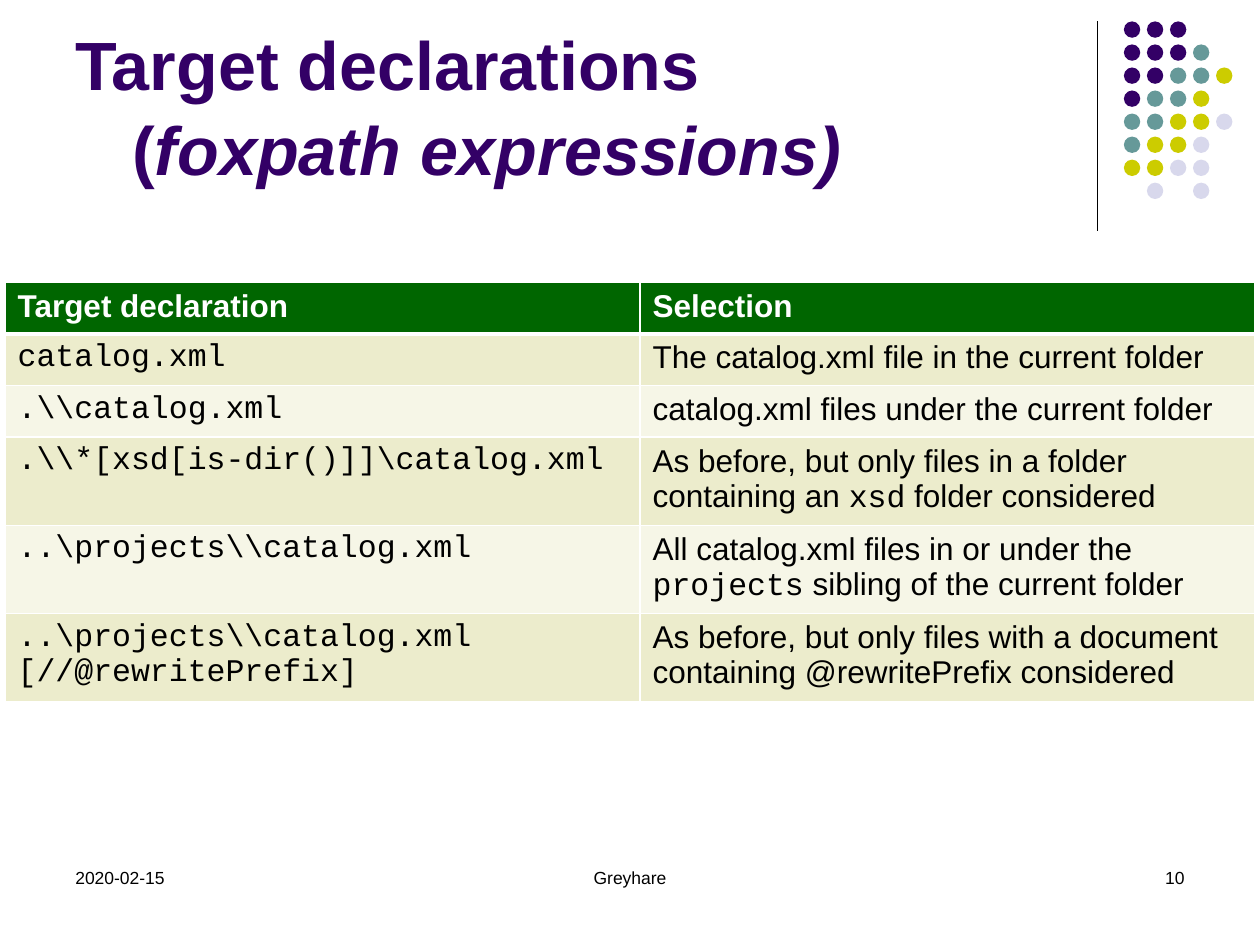
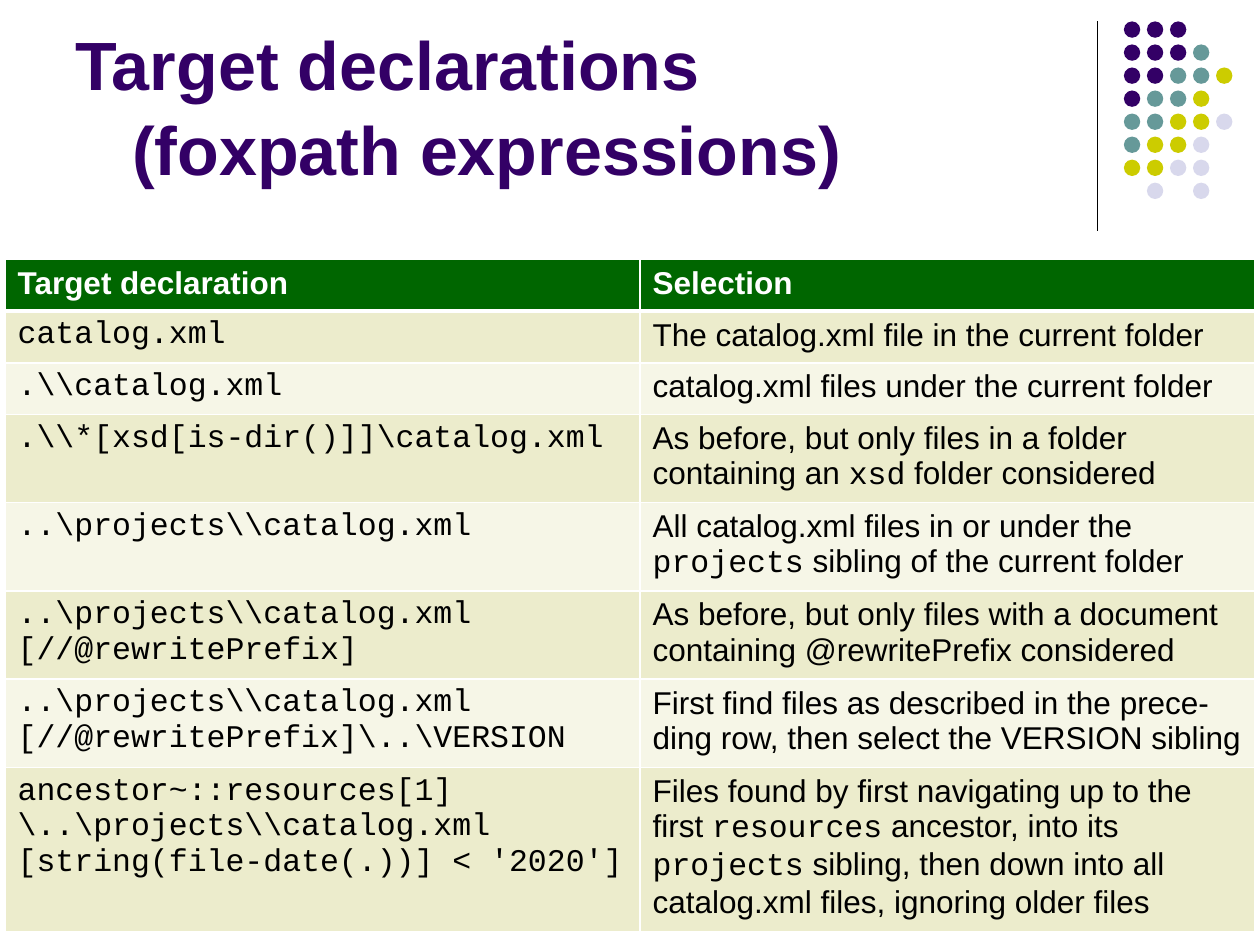
import pptx
import pptx.dml.color
import pptx.enum.shapes
import pptx.enum.text
import pptx.oxml.ns
import pptx.util
from lxml import etree

Inches = pptx.util.Inches
Pt = pptx.util.Pt
ALIGN = pptx.enum.text.PP_ALIGN

SANS, MONO = "Arial", "Courier New"
WHITE, BLACK, GREEN = "FFFFFF", "000000", "006600"
PURPLE, TEAL, OLIVE, LILAC = "330066", "669999", "CCCC00", "D8D8EC"
STRIPES = ("ECECCC", "F6F6E7")

DOT_COLORS = {"P": PURPLE, "T": TEAL, "O": OLIVE, "L": LILAC}
DOT_ROWS = ("PPP", "PPPT", "PPTTO", "PTTO", "TTOOL", "TOOL", "OOLL", " L L")
DOT_PITCH = 1.28 / 7

COLUMN_WIDTHS = (5.04, 4.88)
HEADER_HEIGHT = 0.41
BASIC_TARGETS = [
    (0.41, ["catalog.xml"], "The catalog.xml file in the current folder"),
    (0.41, [r".\\catalog.xml"], "catalog.xml files under the current folder"),
    (0.68, [r".\\*[xsd[is-dir()]]\catalog.xml"],
     "As before, but only files in a folder containing an `xsd` folder considered"),
    (0.68, [r"..\projects\\catalog.xml"],
     "All catalog.xml files in or under the `projects` sibling of the current folder"),
    (0.67, [r"..\projects\\catalog.xml", "[//@rewritePrefix]"],
     "As before, but only files with a document containing @rewritePrefix considered"),
]
NAVIGATION_TARGETS = [
    (0.67, [r"..\projects\\catalog.xml", r"[//@rewritePrefix]\..\VERSION"],
     "First find files as described in the prece- ding row, then select the VERSION sibling"),
    (1.26, ["ancestor~::resources[1]", r"\..\projects\\catalog.xml",
            "[string(file-date(.))] < '2020']"],
     "Files found by first navigating up to the first `resources` ancestor, into its "
     "`projects` sibling, then down into all catalog.xml files, ignoring older files"),
]


def rgb(value):
    return pptx.dml.color.RGBColor.from_string(value)


def write(frame, *lines, font=SANS, size=18, color=BLACK, bold=False,
          align=ALIGN.LEFT, marked_font=None, marked_italic=False):
    """Fill a frame with lines; stretches between backticks take the marked format."""
    frame.word_wrap = True
    for number, line in enumerate(lines):
        paragraph = frame.add_paragraph() if number else frame.paragraphs[0]
        paragraph.alignment = align
        for position, stretch in enumerate(line.split("`")):
            if not stretch:
                continue
            marked = position % 2 == 1
            run = paragraph.add_run()
            run.text = stretch
            run.font.name = marked_font if marked and marked_font else font
            run.font.size = Pt(size)
            run.font.bold = bold
            run.font.italic = marked and marked_italic
            run.font.color.rgb = rgb(color)


def add_textbox(slide, left, top, width, height):
    return slide.shapes.add_textbox(
        Inches(left), Inches(top), Inches(width), Inches(height)).text_frame


def add_divider(slide):
    divider = slide.shapes.add_connector(
        pptx.enum.shapes.MSO_CONNECTOR.STRAIGHT,
        Inches(8.71), Inches(0.17), Inches(8.71), Inches(1.83))
    divider.line.color.rgb = rgb(BLACK)
    divider.line.width = Pt(0.75)
    etree.SubElement(divider._element.spPr, pptx.oxml.ns.qn("a:effectLst"))


def add_dots(slide):
    dots = slide.shapes.add_group_shape()
    for row, pattern in enumerate(DOT_ROWS):
        for column, key in enumerate(pattern):
            if key == " ":
                continue
            dot = dots.shapes.add_shape(
                pptx.enum.shapes.MSO_SHAPE.OVAL,
                Inches(8.92 + column * DOT_PITCH), Inches(0.17 + row * DOT_PITCH),
                Inches(0.13), Inches(0.13))
            dot.shadow.inherit = False
            dot.fill.solid()
            dot.fill.fore_color.rgb = rgb(DOT_COLORS[key])
            dot.line.fill.background()


def add_title(slide, *lines):
    title = add_textbox(slide, 0.5, 0.13, 8.25, 1.42)
    title.vertical_anchor = pptx.enum.text.MSO_ANCHOR.BOTTOM
    write(title, *lines, size=39, color=PURPLE, bold=True, marked_italic=True)
    subtitle = title.paragraphs[1]
    subtitle.space_before = Pt(2)
    subtitle._p.get_or_add_pPr().set("marL", str(Inches(0.45)))


def add_footer(slide, date, project, number):
    for left, width, text, align in (
            (0.5, 2.33, date, ALIGN.LEFT),
            (3.19, 3.62, project, ALIGN.CENTER),
            (7.17, 2.33, number, ALIGN.RIGHT)):
        write(add_textbox(slide, left, 6.83, width, 0.5), text, size=10, align=align)


def style_cell(cell, fill, top=1, bottom=1):
    properties = cell._tc.get_or_add_tcPr()
    for side, width in (("L", 1), ("R", 1), ("T", top), ("B", bottom)):
        border = etree.SubElement(
            properties, pptx.oxml.ns.qn("a:ln" + side), w=str(Pt(width)))
        paint = etree.SubElement(border, pptx.oxml.ns.qn("a:solidFill"))
        etree.SubElement(paint, pptx.oxml.ns.qn("a:srgbClr"), val=WHITE)
    cell.fill.solid()
    cell.fill.fore_color.rgb = rgb(fill)


def add_target_table(slide, top, targets):
    heights = [HEADER_HEIGHT] + [height for height, _, _ in targets]
    table = slide.shapes.add_table(
        len(heights), len(COLUMN_WIDTHS), Inches(0.04), Inches(top),
        Inches(sum(COLUMN_WIDTHS)), Inches(sum(heights))).table
    for column, width in zip(table.columns, COLUMN_WIDTHS):
        column.width = Inches(width)
    for row, height in zip(table.rows, heights):
        row.height = Inches(height)
    for column, heading in enumerate(("Target declaration", "Selection")):
        cell = table.cell(0, column)
        style_cell(cell, GREEN, bottom=3)
        write(cell.text_frame, heading, color=WHITE, bold=True)
    for row, (_, declaration, selection) in enumerate(targets, start=1):
        for column in range(len(COLUMN_WIDTHS)):
            style_cell(table.cell(row, column), STRIPES[(row - 1) % 2],
                       top=3 if row == 1 else 1)
        write(table.cell(row, 0).text_frame, *declaration, font=MONO)
        write(table.cell(row, 1).text_frame, selection, marked_font=MONO)


def add_base_slide(deck, *title_lines):
    slide = deck.slides.add_slide(deck.slide_layouts[6])
    add_divider(slide)
    add_dots(slide)
    add_title(slide, *title_lines)
    return slide


def main():
    deck = pptx.Presentation()
    deck.slide_width, deck.slide_height = Inches(10), Inches(7.5)

    basics = add_base_slide(deck, "Target declarations", "(`foxpath expressions)`")
    add_footer(basics, "2020-02-15", "Greyhare", "10")
    add_target_table(basics, 2.24, BASIC_TARGETS)

    navigation = add_base_slide(deck, "Target declarations", "(foxpath expressions)")
    add_target_table(navigation, 2.06, BASIC_TARGETS + NAVIGATION_TARGETS)

    deck.save("out.pptx")


if __name__ == "__main__":
    main()
